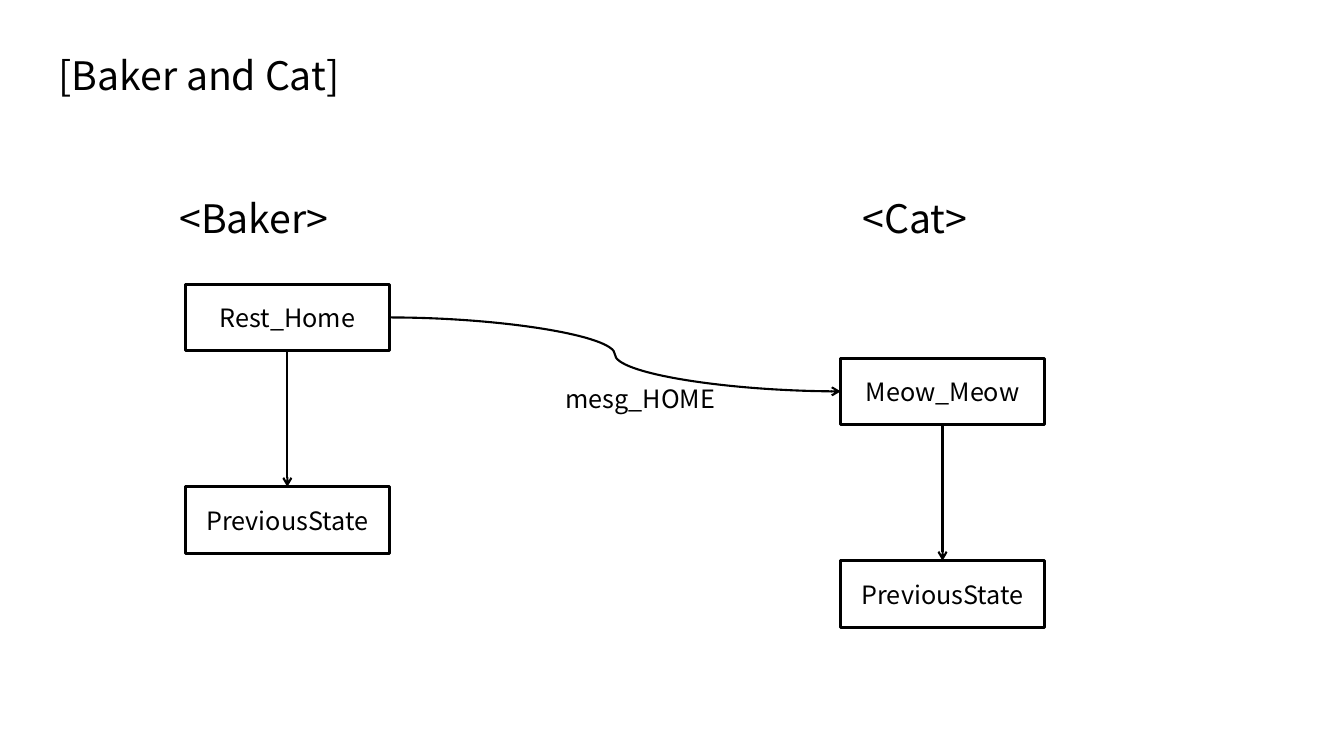
from lxml.etree import SubElement
from pptx import Presentation
from pptx.dml.color import RGBColor
from pptx.enum.shapes import MSO_CONNECTOR as Connector, MSO_SHAPE as Shape
from pptx.enum.text import MSO_ANCHOR as Anchor, MSO_AUTO_SIZE as AutoSize, PP_ALIGN as Align
from pptx.oxml.ns import qn
from pptx.util import Pt

BLACK = RGBColor(0, 0, 0)
TOP, LEFT, BOTTOM, RIGHT = range(4)  # connection sites of a rectangle


class StateDiagram:
    font = "Noto Sans CJK KR"
    heading_size, label_size = 28, 18
    box_width, box_height = 145.5, 47.5
    state_step = 144.7

    def __init__(self, slide):
        self.slide = slide

    def set_text(self, frame, text, size, align=Align.LEFT, anchor=Anchor.TOP):
        frame.word_wrap = True
        frame.auto_size = AutoSize.NONE
        frame.vertical_anchor = anchor
        paragraph = frame.paragraphs[0]
        paragraph.alignment = align
        run = paragraph.add_run()
        run.text = text
        run.font.name = self.font
        run.font.size = Pt(size)
        run.font.color.rgb = BLACK
        return paragraph

    def set_heading(self, frame, text):
        paragraph = self.set_text(frame, text, self.heading_size)
        paragraph.line_spacing = 0.9
        paragraph.space_before = Pt(10)

    def title(self, text, left, top, width, height):
        title = self.slide.shapes.title
        title.left, title.top = Pt(left), Pt(top)
        title.width, title.height = Pt(width), Pt(height)
        self.set_heading(title.text_frame, text)

    def text_box(self, left, top, width, height):
        box = self.slide.shapes.add_textbox(Pt(left), Pt(top), Pt(width), Pt(height))
        return box.text_frame

    def heading(self, text, left, top, width, height):
        self.set_heading(self.text_box(left, top, width, height), text)

    def label(self, text, left, top, width, height):
        self.set_text(self.text_box(left, top, width, height), text, self.label_size)

    def state(self, text, left, top):
        box = self.slide.shapes.add_shape(
            Shape.RECTANGLE, Pt(left), Pt(top), Pt(self.box_width), Pt(self.box_height))
        box.shadow.inherit = False
        box.fill.background()
        box.line.color.rgb = BLACK
        box.line.width = Pt(2.25)
        self.set_text(box.text_frame, text, self.label_size, Align.CENTER, Anchor.MIDDLE)
        return box

    def arrow(self, source, source_site, target, target_site):
        arrow = self.slide.shapes.add_connector(Connector.CURVE, 0, 0, 0, 0)
        arrow.begin_connect(source, source_site)
        arrow.end_connect(target, target_site)
        arrow.line.color.rgb = BLACK
        arrow.line.width = Pt(1.5)
        properties = arrow.element.spPr
        SubElement(properties.find(qn("a:ln")), qn("a:tailEnd"), type="arrow")
        SubElement(properties, qn("a:effectLst"))

    def state_column(self, first, second, left, top):
        """Stack two states joined by an arrow; return the first one."""
        start = self.state(first, left, top)
        end = self.state(second, left, top + self.state_step)
        self.arrow(start, BOTTOM, end, TOP)
        return start


def main():
    deck = Presentation()
    deck.slide_width, deck.slide_height = Pt(960), Pt(540)
    diagram = StateDiagram(deck.slides.add_slide(deck.slide_layouts[5]))

    diagram.title("[Baker and Cat]", 34.6, 36.7, 315.4, 45.4)
    diagram.heading("<Cat>", 609.1, 139, 128.2, 45.4)
    diagram.heading("<Baker>", 121, 139, 170.6, 45.4)

    rest_home = diagram.state_column("Rest_Home", "PreviousState", 132.5, 203)
    meow_meow = diagram.state_column("Meow_Meow", "PreviousState", 600.5, 255.8)
    diagram.arrow(rest_home, RIGHT, meow_meow, LEFT)
    diagram.label("mesg_HOME", 396.7, 270, 137.5, 28.8)

    deck.save("out.pptx")


if __name__ == "__main__":
    main()
